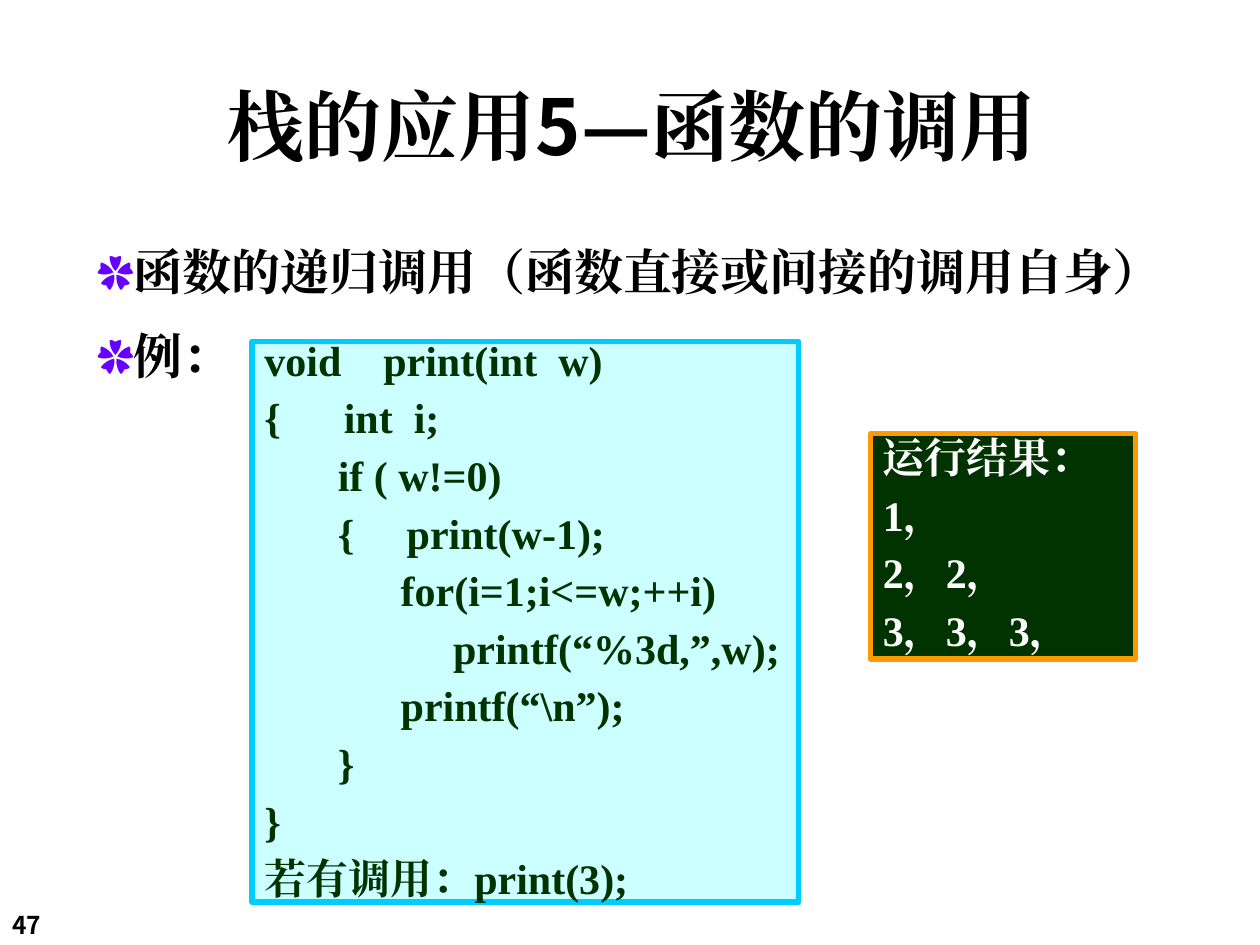
"""Build a slide on recursive function calls as a use of the stack."""
import pptx
import pptx.dml.color
import pptx.enum.shapes
import pptx.enum.text
import pptx.oxml
import pptx.oxml.ns
import pptx.util
from pptx.util import Inches

COLORS = {
    "black": "000000", "white": "FFFFFF", "bullet": "6600FF",
    "code_fill": "CCFFFF", "code_line": "00CCFF", "code_text": "003300",
    "result_fill": "003300", "result_line": "FF9900",
}
SANS, SERIF = "Noto Sans CJK SC", "Times New Roman"
ALIGN = pptx.enum.text.PP_ALIGN
ANCHOR = pptx.enum.text.MSO_ANCHOR

CODE = [
    "void    print(int  w)",
    "{      int  i;",
    "       if ( w!=0)",
    "       {     print(w-1);",
    "             for(i=1;i<=w;++i)",
    "                  printf(“%3d,”,w);",
    "             printf(“\\n”);",
    "       }",
    "}",
    "若有调用：print(3);",
]
RESULT = ["运行结果：", "1，", "2，2，", "3，3，3，"]


def rgb(name):
    return pptx.dml.color.RGBColor.from_string(COLORS[name])


def set_all(obj, values):
    for key, value in values.items():
        setattr(obj, key, value)


def place(sp, left, top, width, height):
    set_all(sp, {"left": Inches(left), "top": Inches(top),
                 "width": Inches(width), "height": Inches(height)})


def set_frame(tf, anchor, wrap=True):
    set_all(tf, {"auto_size": pptx.enum.text.MSO_AUTO_SIZE.NONE,
                 "word_wrap": wrap, "vertical_anchor": anchor})


def add_run(p, text, size, font, color):
    r = p.add_run()
    r.text = text
    set_all(r.font, {"size": pptx.util.Pt(size), "name": font, "bold": True})
    r.font.color.rgb = rgb(color)
    ea = pptx.oxml.parse_xml(
        f'<a:ea {pptx.oxml.ns.nsdecls("a")} typeface="{SERIF}"/>')
    r.font._element.find(pptx.oxml.ns.qn("a:latin")).addnext(ea)


def add_bullet(p):
    pPr = p._p.get_or_add_pPr()
    pPr.set("marL", str(Inches(0.25)))
    pPr.set("indent", str(-Inches(0.25)))
    ns = pptx.oxml.ns.nsdecls("a")
    for xml in (f'<a:buClr {ns}><a:srgbClr val="{COLORS["bullet"]}"/></a:buClr>',
                f'<a:buSzPct {ns} val="75000"/>',
                f'<a:buFont {ns} typeface="{SANS}"/>',
                f'<a:buChar {ns} char="✿"/>'):
        pPr.append(pptx.oxml.parse_xml(xml))


def add_lines(tf, lines, size, font, color, space, bullet=False):
    for i, line in enumerate(lines):
        p = tf.add_paragraph() if i else tf.paragraphs[0]
        if bullet:
            add_bullet(p)
        set_all(p, {"alignment": ALIGN.LEFT, "line_spacing": 0.9,
                    "space_before": pptx.util.Pt(space if i else 0)})
        add_run(p, line, size, font, color)


def add_title(s, parts):
    sp = s.shapes.title
    place(sp, 0.43, 0.66, 9.17, 0.76)
    set_frame(sp.text_frame, ANCHOR.MIDDLE)
    p = sp.text_frame.paragraphs[0]
    set_all(p, {"alignment": ALIGN.CENTER, "line_spacing": 0.9})
    for text, font in parts:
        add_run(p, text, 44, font, "black")


def add_body(s, lines):
    sp = s.placeholders[1]
    place(sp, 0.67, 1.92, 9, 1.19)
    set_frame(sp.text_frame, ANCHOR.TOP)
    add_lines(sp.text_frame, lines, 28, SANS, "black", 17.5, bullet=True)


def add_panel(s, box, kind, text_color, lines, wrap):
    sp = s.shapes.add_shape(pptx.enum.shapes.MSO_SHAPE.RECTANGLE,
                            *map(Inches, box))
    sp.shadow.inherit = False
    sp.fill.solid()
    sp.fill.fore_color.rgb = rgb(f"{kind}_fill")
    sp.line.color.rgb = rgb(f"{kind}_line")
    sp.line.width = pptx.util.Pt(3)
    set_frame(sp.text_frame, ANCHOR.MIDDLE, wrap)
    add_lines(sp.text_frame, lines, 24, SERIF, text_color, 7)


def add_page_number(s, number):
    sp = s.shapes.add_textbox(*map(Inches, (0, 7.17, 0.83, 0.34)))
    set_frame(sp.text_frame, ANCHOR.TOP)
    add_run(sp.text_frame.paragraphs[0], number, 14, SANS, "black")


def main():
    prs = pptx.Presentation()
    set_all(prs, {"slide_width": Inches(10), "slide_height": Inches(7.5)})
    s = prs.slides.add_slide(prs.slide_layouts[1])
    add_page_number(s, "47")
    add_body(s, ["函数的递归调用（函数直接或间接的调用自身）", "例："])
    add_title(s, [("栈的应用", SERIF), ("5—函数的调用", SANS)])
    add_panel(s, (2, 2.71, 4.34, 4.45), "code", "code_text", CODE, True)
    add_panel(s, (6.91, 3.44, 2.1, 1.79), "result", "white", RESULT, False)
    prs.save("out.pptx")


if __name__ == "__main__":
    main()
